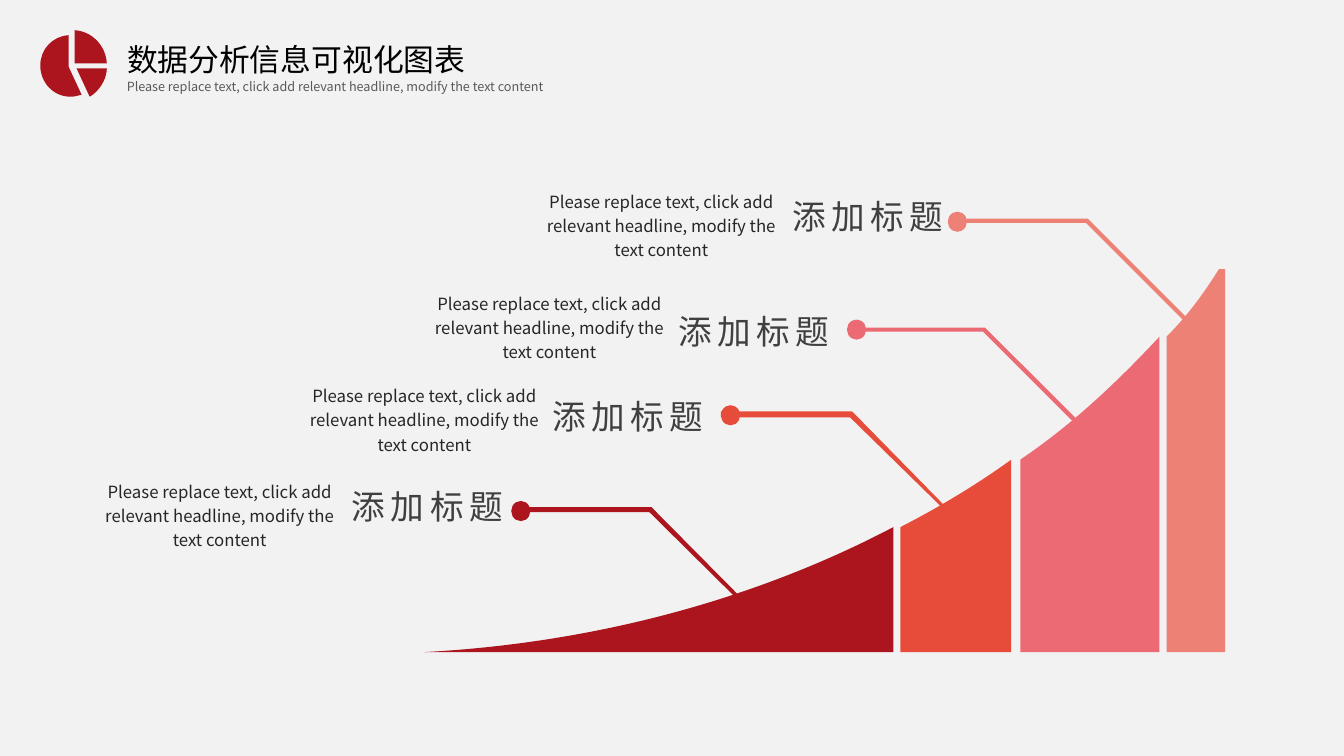
from lxml.etree import SubElement
from pptx import Presentation
from pptx.dml.color import RGBColor
from pptx.enum.shapes import MSO_SHAPE
from pptx.enum.text import MSO_ANCHOR, PP_ALIGN
from pptx.oxml.ns import qn
from pptx.util import Inches, Pt

FONT = "Noto Sans CJK SC"
DARK_RED, ORANGE, PINK, SALMON = "AC151E", "E74C3B", "EC6A73", "ED8176"
FILLER = "Please replace text, click add relevant headline, modify the text content"
BASELINE = 6.47

# Colour, right edge, then the top curve from right to left (four Bezier points)
BARS = [
    (DARK_RED, 8.86, [(8.86, 5.23), (7.51, 5.94), (5.91, 6.38), (4.2, 6.47)]),
    (ORANGE, 10.03, [(10.03, 4.56), (9.7, 4.8), (9.32, 5.03), (8.93, 5.23)]),
    (SALMON, 12.15, [(12.09, 2.67), (11.94, 2.91), (11.78, 3.13), (11.57, 3.34)]),
    (PINK, 11.5, [(11.5, 3.34), (11.09, 3.78), (10.64, 4.21), (10.12, 4.56)]),
]

# Colour, then left-top of leader, its thickness, and left-top of dot, label, text
CALLOUTS = [
    (DARK_RED, (5.16, 5.03), 0.05, (5.07, 4.97), (3.39, 4.77), (0.88, 4.69)),
    (ORANGE, (7.15, 4.08), 0.06, (7.15, 4.02), (5.38, 3.88), (2.91, 3.74)),
    (PINK, (8.47, 3.25), 0.04, (8.4, 3.17), (6.63, 3.04), (4.15, 2.82)),
    (SALMON, (9.49, 2.17), 0.04, (9.4, 2.1), (7.76, 1.89), (5.26, 1.81)),
]

# Pie emblem: each slice is a list of segments, one point for a line, three for a curve
PIE_SLICES = [
    [[(0.36, 0.38)], [(0.66, 0.38)], [(0.66, 0.49), (0.58, 0.61), (0.49, 0.66)]],
    [[(0.28, 0.05)], [(0.28, 0.36)], [(0.41, 0.64)],
     [(0.37, 0.65), (0.34, 0.66), (0.3, 0.66)],
     [(0.13, 0.66), (0, 0.52), (0, 0.35)],
     [(0, 0.19), (0.12, 0.06), (0.28, 0.05)]],
    [[(0.34, 0)], [(0.51, 0.01), (0.65, 0.15), (0.66, 0.33)], [(0.34, 0.33)]],
]


def color(value):
    return RGBColor.from_string(value)


def paint(shape, fill):
    shape.shadow.inherit = False
    shape.fill.solid()
    shape.fill.fore_color.rgb = color(fill)
    shape.line.fill.background()


def add_outline(page, left, top, contours, fill):
    """Draw closed contours, placed relative to left and top."""
    builder = None
    for contour in contours:
        points = [(Inches(left + x), Inches(top + y))
                  for segment in contour for x, y in segment]
        if builder is None:
            builder = page.shapes.build_freeform(*points[0])
        else:
            builder.move_to(*points[0])
        builder.add_line_segments(points[1:], close=True)
    shape = builder.convert_to_shape()
    paint(shape, fill)

    # Join each group of three points into one Bezier segment
    lines = iter(list(shape._element.iter(qn("a:lnTo"))))
    for contour in contours:
        for segment in contour[1:]:
            first, *others = [next(lines) for _ in segment]
            if others:
                first.tag = qn("a:cubicBezTo")
            for other in others:
                first.append(other[0])
                other.getparent().remove(other)


def write(box, text, size, text_color, align=PP_ALIGN.LEFT, spacing=1.0, tracking=0):
    frame = box.text_frame
    frame.word_wrap = True
    frame.vertical_anchor = MSO_ANCHOR.TOP
    frame.text = text
    para = frame.paragraphs[0]
    para.alignment = align
    para.line_spacing = spacing
    span = para.runs[0]
    span.font.size = Pt(size)
    span.font.name = FONT
    span.font.color.rgb = color(text_color)
    properties = span.font._element
    SubElement(properties, qn("a:ea")).set("typeface", FONT)
    if tracking:
        properties.set("spc", str(tracking * 100))


def add_text(page, left, top, width, height, *style, **options):
    box = page.shapes.add_textbox(*map(Inches, (left, top, width, height)))
    write(box, *style, **options)


def add_header(page, left, top):
    add_outline(page, left, top, PIE_SLICES, DARK_RED)

    # Title and subtitle
    title = page.shapes.title
    title.left, title.top = Inches(left + 0.76), Inches(top + 0.05)
    title.width, title.height = Inches(4.26), Inches(0.47)
    write(title, "数据分析信息可视化图表", 22, "000000")
    add_text(page, left + 0.76, top + 0.43, 5.04, 0.25, FILLER, 9, "595959")


def add_bar(page, fill, right, top_curve):
    peak, *curve = top_curve
    corners = [(curve[-1][0], BASELINE), (right, BASELINE), (right, peak[1])]
    contour = [[peak], curve] + [[corner] for corner in corners]
    add_outline(page, 0, 0, [contour], fill)


def add_callout(page, fill, leader, thickness, dot, label, text):
    # Bent leader ending on the bar
    bend = [(2.26, 1.02), (1.28, thickness), (0, thickness),
            (0, 0), (1.3, 0), (2.29, 0.95 + thickness)]
    add_outline(page, *leader, [[[corner] for corner in bend]], fill)

    # Dot, label and description
    marker = page.shapes.add_shape(
        MSO_SHAPE.OVAL, *map(Inches, (*dot, 0.19, 0.2)))
    paint(marker, fill)
    add_text(page, *label, 1.77, 0.5, "添加标题", 24, "404040", tracking=4)
    add_text(page, *text, 2.6, 0.81, FILLER, 12, "262626",
             align=PP_ALIGN.CENTER, spacing=1.2)


def main():
    deck = Presentation()
    deck.slide_width, deck.slide_height = Inches(13.33), Inches(7.5)
    page = deck.slides.add_slide(deck.slide_layouts[5])
    page.background.fill.solid()
    page.background.fill.fore_color.rgb = color("F2F2F2")

    add_header(page, 0.4, 0.3)
    for bar in BARS:
        add_bar(page, *bar)
    for callout in CALLOUTS:
        add_callout(page, *callout)
    deck.save("out.pptx")


if __name__ == "__main__":
    main()
